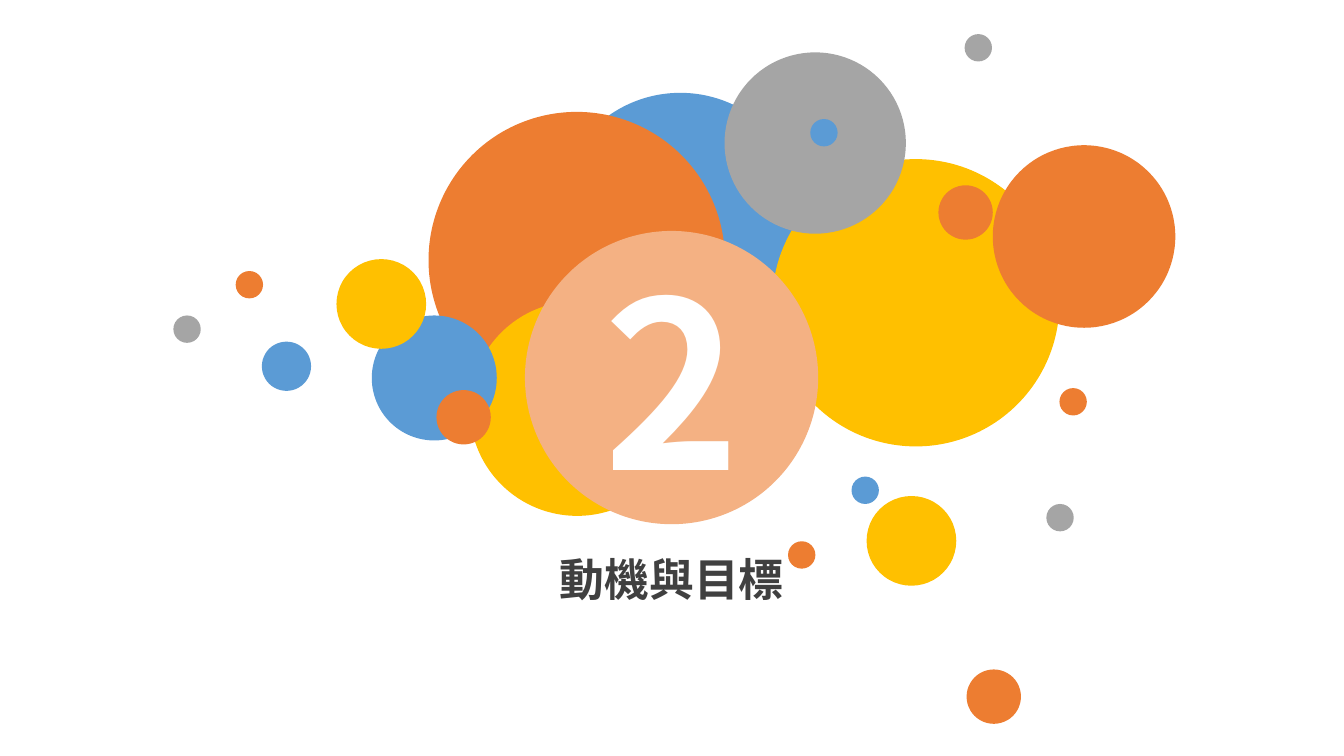
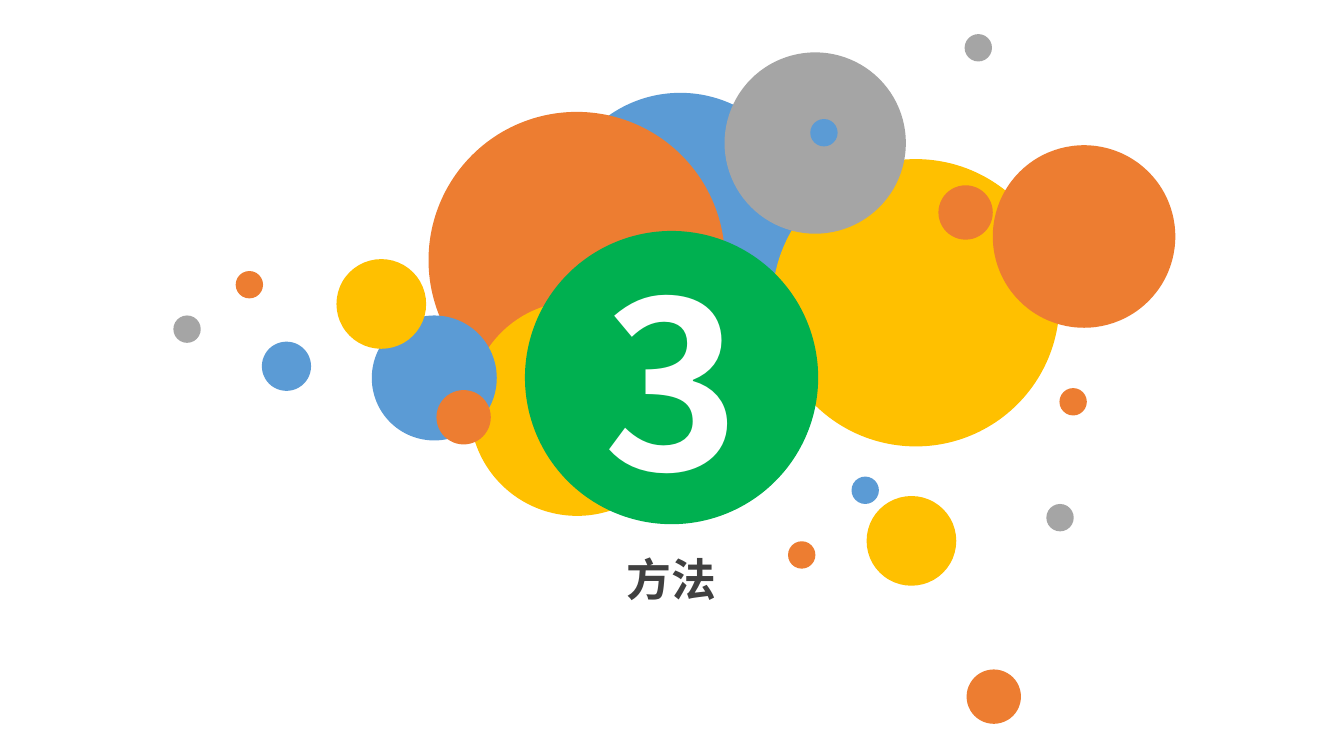
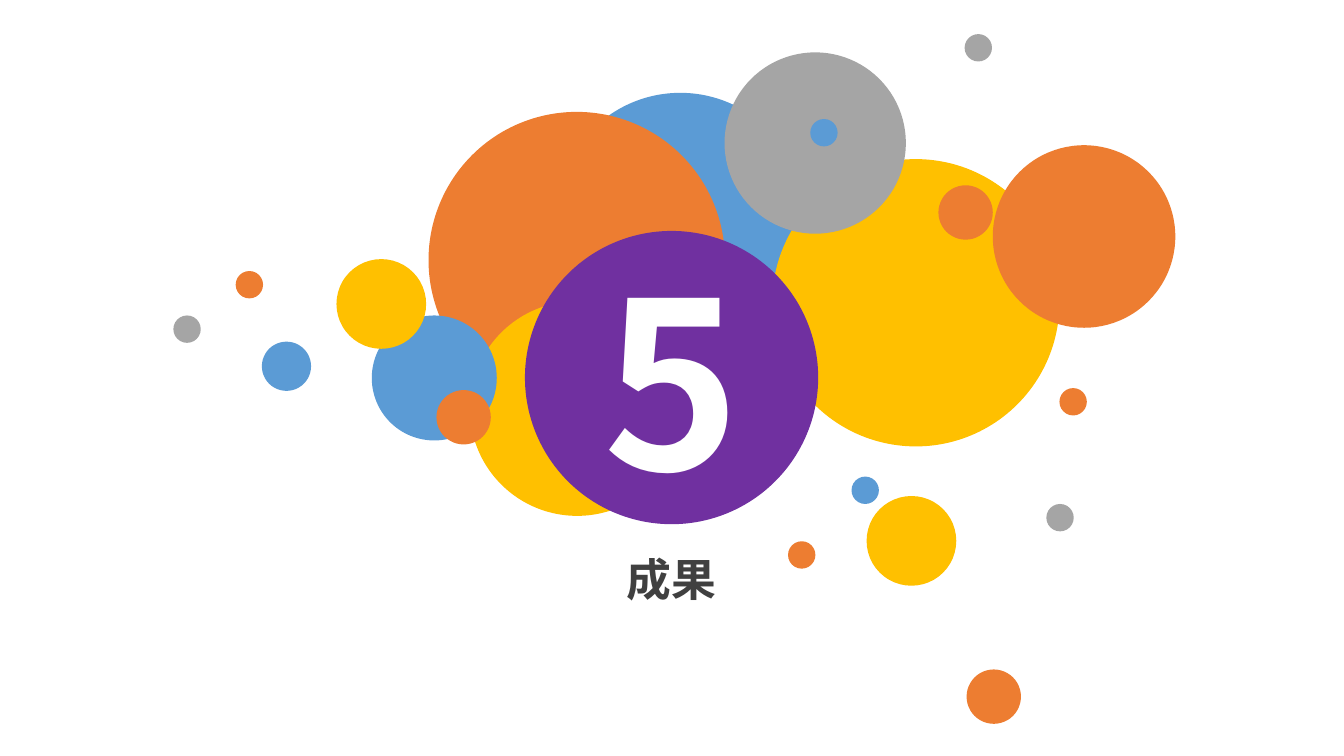
"""Three section divider slides: a cloud of dots, a numbered disc and a heading."""
from lxml import etree
from pptx import Presentation
from pptx import util as u
from pptx.dml.color import RGBColor
from pptx.enum import shapes, text
from pptx.oxml.ns import qn

FONT = "Noto Sans CJK SC"
BLUE = RGBColor(0x5B, 0x9B, 0xD5)
ORANGE = RGBColor(0xED, 0x7D, 0x31)
GOLD = RGBColor(0xFF, 0xC0, 0x00)
GREY = RGBColor(0xA5, 0xA5, 0xA5)
PEACH = RGBColor(0xF4, 0xB1, 0x83)
GREEN = RGBColor(0x00, 0xB0, 0x50)
PURPLE = RGBColor(0x70, 0x30, 0xA0)
WHITE = RGBColor(0xFF, 0xFF, 0xFF)
DARK = RGBColor(0x40, 0x40, 0x40)

TINY, SMALL, MID = 0.69, 1.37, 2.26
DOTS = [
    (14.02, 2.34, 6.25, BLUE),
    (10.8, 2.82, 7.47, ORANGE),
    (11.84, 7.59, 5.41, GOLD),
    (19.46, 4.01, 7.24, GOLD),
    (18.26, 1.32, 4.57, GREY),
    (9.37, 7.95, 3.15, BLUE),
    (21.84, 12.5, MID, GOLD),
    (21.46, 12.01, TINY, BLUE),
    (19.86, 13.64, TINY, ORANGE),
    (26.37, 12.7, TINY, GREY),
    (24.36, 16.87, SMALL, ORANGE),
    (25.02, 3.66, 4.6, ORANGE),
    (8.48, 6.53, MID, GOLD),
    (6.6, 8.61, 1.24, BLUE),
    (5.94, 6.83, TINY, ORANGE),
    (4.37, 7.95, TINY, GREY),
    (11, 9.83, SMALL, ORANGE),
    (20.42, 3, TINY, BLUE),
    (26.7, 9.78, TINY, ORANGE),
    (24.31, 0.86, TINY, GREY),
    (23.65, 4.67, SMALL, ORANGE),
]
PARTS = [("2", "動機與目標", PEACH), ("3", "方法", GREEN), ("5", "成果", PURPLE)]


def add_dot(slide, left, top, size, color):
    dot = slide.shapes.add_shape(
        shapes.MSO_SHAPE.OVAL, u.Cm(left), u.Cm(top), u.Cm(size), u.Cm(size))
    dot.shadow.inherit = False
    dot.fill.solid()
    dot.fill.fore_color.rgb = color
    dot.line.fill.background()
    return dot


def add_words(shape, words, size, color):
    para = shape.text_frame.paragraphs[0]
    para.alignment = text.PP_ALIGN.CENTER
    run = para.add_run()
    run.text = words
    run.font.size = u.Pt(size)
    run.font.bold = True
    run.font.color.rgb = color
    run.font.name = FONT
    east = etree.SubElement(run._r.get_or_add_rPr(), qn("a:ea"))
    east.set("typeface", FONT)


deck = Presentation()
deck.slide_width = u.Cm(33.87)
deck.slide_height = u.Cm(19.05)
blank = deck.slide_layouts[6]

for number, title, color in PARTS:
    slide = deck.slides.add_slide(blank)
    for dot in DOTS:
        add_dot(slide, *dot)
    disc = add_dot(slide, 13.23, 5.82, 7.39, color)
    disc.text_frame.vertical_anchor = text.MSO_ANCHOR.MIDDLE
    add_words(disc, number, 166, WHITE)
    head = slide.shapes.add_textbox(u.Cm(9.27), u.Cm(13.77), u.Cm(15.32), u.Cm(1.63))
    head.text_frame.word_wrap = True
    head.text_frame.auto_size = text.MSO_AUTO_SIZE.SHAPE_TO_FIT_TEXT
    add_words(head, title, 32, DARK)

deck.save("out.pptx")
